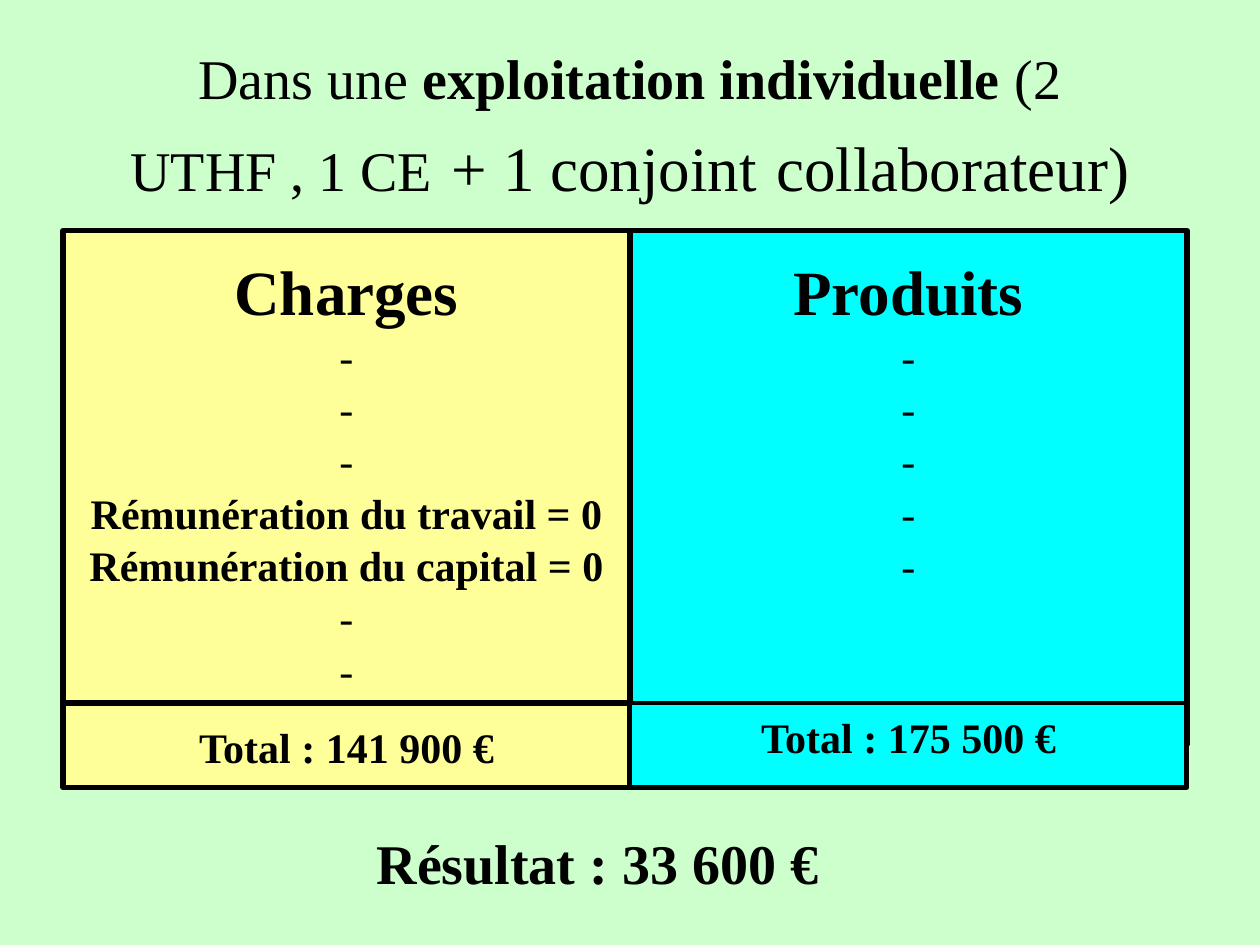
from pptx import Presentation
from pptx import util as u
from pptx.dml import color
from pptx.enum import shapes, text

FONT = "Times New Roman"


def tint(code):
    return color.RGBColor.from_string(code)


def write(box, rows, anchor, top=0.05):
    frame = box.text_frame
    frame.word_wrap = True
    frame.vertical_anchor = anchor
    frame.margin_left = frame.margin_right = u.Inches(0.1)
    frame.margin_top = u.Inches(top)
    frame.margin_bottom = u.Inches(0.05)
    for i, row in enumerate(rows):
        para = frame.add_paragraph() if i else frame.paragraphs[0]
        para.alignment = text.PP_ALIGN.CENTER
        para.line_spacing = 1.04
        for words, size, bold in row:
            run = para.add_run()
            run.text = words
            run.font.name = FONT
            run.font.size = u.Pt(size)
            run.font.bold = bold
            run.font.color.rgb = tint("000000")


deck = Presentation()
deck.slide_width = u.Inches(10)
deck.slide_height = u.Inches(7.5)
slide = deck.slides.add_slide(deck.slide_layouts[6])
slide.background.fill.solid()
slide.background.fill.fore_color.rgb = tint("CCFFCC")

TOP = text.MSO_ANCHOR.TOP
MID = text.MSO_ANCHOR.MIDDLE

title = slide.shapes.add_textbox(u.Inches(0.75), u.Inches(0.36), u.Inches(8.5), u.Inches(1.25))
write(title, [[
    ("Dans une ", 32, False),
    ("exploitation individuelle", 32, True),
    (" (2 UTHF , 1 CE", 32, False),
    (" ", 44, False),
    ("+ 1 conjoint", 36, False),
    (" ", 44, False),
    ("collaborateur)", 36, False),
]], MID)

dash = [("-", 24, False)]
costs = [
    [("Charges", 36, True)],
    dash, dash, dash,
    [("Rémunération du travail = 0", 24, True)],
    [("Rémunération du capital = 0", 24, True)],
    dash, dash,
]
gains = [[("Produits", 36, True)]] + [dash] * 5
sides = [
    (0.5, 4.5, "FFFF99", costs, "Total : 141 900 €", MID, 3),
    (5, 4.42, "00FFFF", gains, "Total : 175 500 €", TOP, 2.75),
]
for left, width, fill, rows, total, anchor, line in sides:
    parts = [
        (1.83, 4.08, rows, TOP, 0.15, 3),
        (5.58, 0.67, [[(total, 24, True)]], anchor, 0.05, line),
    ]
    for top, height, lines, place, inset, weight in parts:
        box = slide.shapes.add_shape(
            shapes.MSO_SHAPE.RECTANGLE,
            u.Inches(left), u.Inches(top), u.Inches(width), u.Inches(height))
        box.shadow.inherit = False
        box.fill.solid()
        box.fill.fore_color.rgb = tint(fill)
        box.line.color.rgb = tint("000000")
        box.line.width = u.Pt(weight)
        write(box, lines, place, inset)

result = slide.shapes.add_textbox(u.Inches(2.33), u.Inches(6.5), u.Inches(4.83), u.Inches(0.67))
write(result, [[("Résultat : 33 600 €", 32, True)]], MID)

deck.save("out.pptx")
